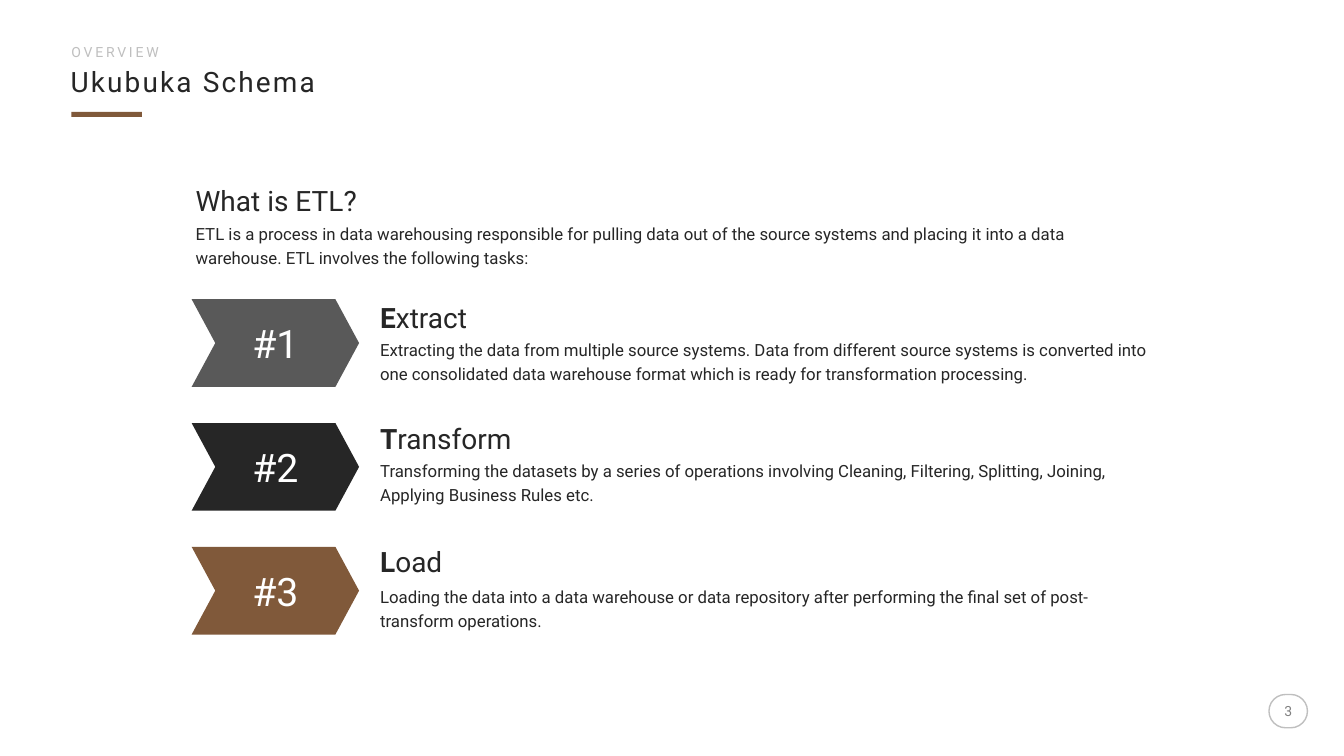
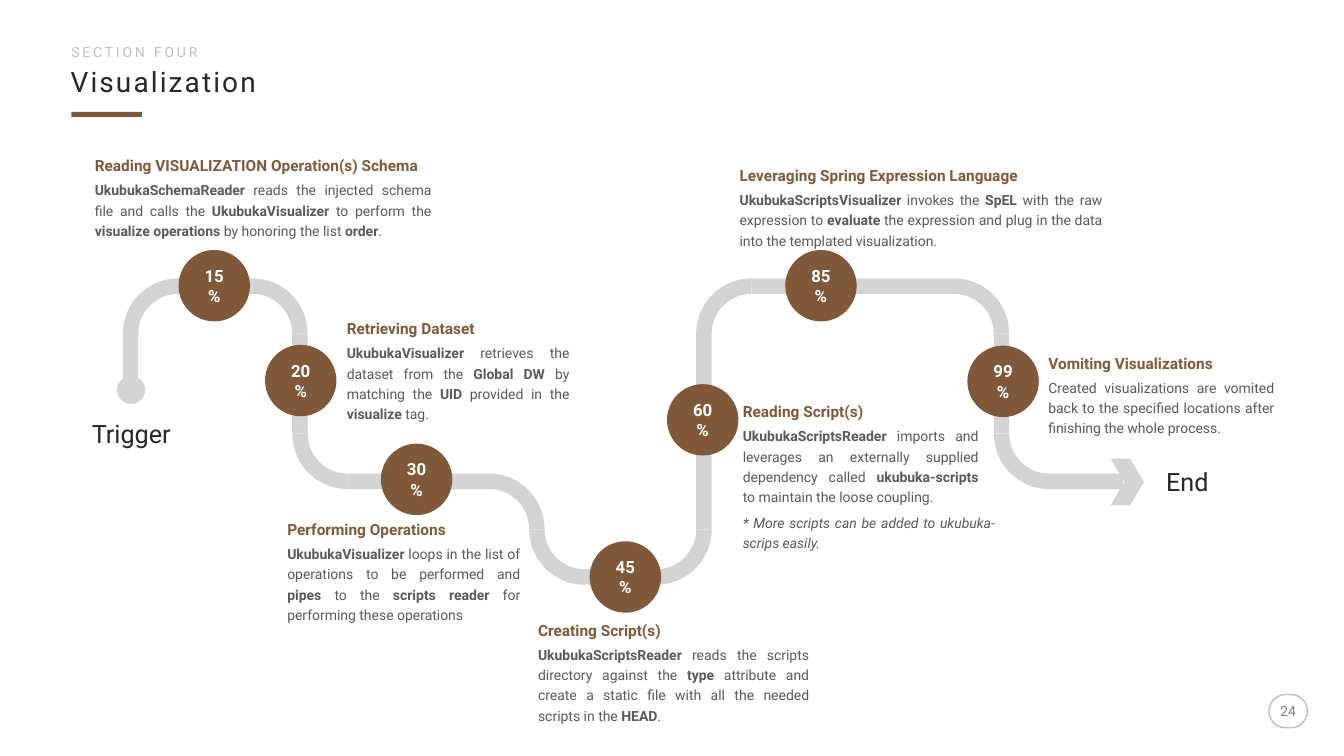
from math import dist
from pptx import Presentation
from pptx.dml.color import RGBColor as Rgb
from pptx.enum.shapes import MSO_SHAPE as Kind
from pptx.enum.text import MSO_ANCHOR as Anchor, PP_ALIGN as Align
from pptx.util import Cm, Pt

LEFT = {"alignment": Align.LEFT}
MID = {"alignment": Align.CENTER}
TIGHT = {"alignment": Align.LEFT, "line_spacing": 0.9, "space_before": Pt(10)}
HEAD = {"alignment": Align.LEFT, "line_spacing": 0.9, "space_before": Pt(7.5)}
OPEN = {"alignment": Align.LEFT, "line_spacing": 1.2}
FULL = {"alignment": Align.JUSTIFY, "line_spacing": 1.2, "space_before": Pt(7.5)}

THEME = {
    "font": "Roboto",
    "brown": "80593A",
    "dark": "262626",
    "grey": "595959",
    "road": "D4D4D4",
    "pale": "BFBFBF",
    "title": {"size": 20, "ink": "262626", "para": TIGHT, "gap": 150},
    "label": {"size": 10, "ink": "BFBFBF", "para": TIGHT, "gap": 200},
    "page": {"size": 10, "ink": "808080", "para": MID},
    "topic": {"size": 20, "ink": "262626", "para": LEFT},
    "body": {"size": 12, "ink": "262626", "para": OPEN},
    "step": {"size": 28, "ink": "FFFFFF", "para": MID},
    "head": {"size": 11, "ink": "80593A", "para": HEAD, "bold": True},
    "note": {"size": 10, "ink": "595959", "para": FULL},
    "aside": {"size": 10, "ink": "595959", "para": FULL, "italic": True},
    "dot": {"size": 12, "ink": "FFFFFF", "para": MID, "bold": True},
    "stop": {"size": 18, "ink": "262626", "para": MID},
}


def draw(slide, kind, box, fill=None, adj=(), turn=0):
    shape = slide.shapes.add_shape(kind, *map(Cm, box))
    shape.shadow.inherit = False
    shape.line.fill.background()
    if fill:
        shape.fill.solid()
        shape.fill.fore_color.rgb = Rgb.from_string(fill)
    else:
        shape.fill.background()
    for i, val in enumerate(adj):
        shape.adjustments[i] = val
    shape.rotation = turn
    return shape


def say(slide, box, text, style, shape=None, flush=True):
    look = THEME[style]
    frame = (shape or slide.shapes.add_textbox(*map(Cm, box))).text_frame
    frame.word_wrap = True
    frame.vertical_anchor = Anchor.MIDDLE if shape else Anchor.TOP
    if flush:
        for side in ("left", "right", "top", "bottom"):
            setattr(frame, f"margin_{side}", 0)
    para = frame.paragraphs[0]
    for key, val in look["para"].items():
        setattr(para, key, val)
    for i, part in enumerate(text.split("|")):
        if not part:
            continue
        run = para.add_run()
        run.text = part
        form = {
            "name": THEME["font"],
            "size": Pt(look["size"]),
            "bold": look.get("bold", i % 2 == 1),
            "italic": look.get("italic", False),
        }
        for key, val in form.items():
            setattr(run.font, key, val)
        run.font.color.rgb = Rgb.from_string(look["ink"])
        if "gap" in look:
            run._r.get_or_add_rPr().set("spc", str(look["gap"]))


deck = Presentation()
deck.slide_width, deck.slide_height = Cm(33.87), Cm(19.05)

pages = []
for label, title, num in [
    ("OVERVIEW", "Ukubuka Schema", "3"),
    ("SECTION FOUR", "Visualization", "24"),
]:
    page = deck.slides.add_slide(deck.slide_layouts[6])
    say(page, (1.8, 1.14, 30.3, 0.43), label, "label")
    say(page, (1.78, 1.73, 30.3, 0.84), title, "title")
    draw(page, Kind.RECTANGLE, (1.8, 2.82, 1.78, 0.13), THEME["brown"])
    badge = draw(page, Kind.ROUNDED_RECTANGLE, (31.98, 17.5, 0.97, 0.84), adj=[0.5])
    badge.line.color.rgb = Rgb.from_string(THEME["pale"])
    badge.line.width = Pt(1)
    say(page, None, num, "page", badge)
    pages.append(page)
schema, visual = pages

say(schema, (4.93, 4.62, 22.6, 0.86), "What is ETL?", "topic")
say(schema, (4.93, 5.54, 24.18, 1.2),
    "ETL is a process in data warehousing responsible for pulling data out of the "
    "source systems and placing it into a data warehouse. ETL involves the "
    "following tasks:", "body")

steps = [
    ("grey", 7.57, 8.46, "|E|xtract",
     "Extracting the data from multiple source systems. Data from different source "
     "systems is converted into one consolidated data warehouse format which is "
     "ready for transformation processing."),
    ("dark", 10.62, 11.51, "|T|ransform",
     "Transforming the datasets by a series of operations involving Cleaning, "
     "Filtering, Splitting, Joining, Applying Business Rules etc."),
    ("brown", 13.72, 14.68, "|L|oad",
     "Loading the data into a data warehouse or data repository after performing "
     "the final set of post-transform operations."),
]
for i, (tone, top, low, head, body) in enumerate(steps):
    arrow = draw(schema, Kind.CHEVRON, (4.83, 7.54 + 3.12 * i, 4.22, 2.21),
                 THEME[tone], [0.27])
    say(schema, None, f"#{i + 1}", "step", arrow, False)
    say(schema, (9.58, top, 15, 0.86), head, "topic")
    say(schema, (9.58, low, 19.51, 1.25), body, "body")

WIDE, BEND = 0.39, 1.2
SPAN = 2 * BEND + WIDE
TURNS = {(1, -1): 0, (1, 1): 90, (-1, 1): 180, (-1, -1): 270}
route = [
    (3.29, 9.68), (3.29, 7.21), (7.56, 7.21), (7.56, 12.13), (13.53, 12.13),
    (13.53, 14.54), (17.74, 14.54), (17.74, 7.21), (25.24, 7.21),
    (25.24, 12.13), (28.3, 12.13),
]
last = len(route) - 2
ways = []
for i, (a, b) in enumerate(zip(route, route[1:])):
    far = dist(a, b)
    way = [(q - p) / far for p, q in zip(a, b)]
    ways.append(way)
    head = [p + w * BEND * (i > 0) for p, w in zip(a, way)]
    tail = [q - w * BEND * (i < last) for q, w in zip(b, way)]
    pad = [WIDE / 2 * (w == 0) for w in way]
    spot = [min(p, q) - d for p, q, d in zip(head, tail, pad)]
    size = [abs(q - p) + 2 * d for p, q, d in zip(head, tail, pad)]
    draw(visual, Kind.RECTANGLE, spot + size, THEME["road"])

for bend, way, next_way in zip(route[1:], ways, ways[1:]):
    side = [w - n for w, n in zip(way, next_way)]
    spot = [c - s * BEND - SPAN / 2 for c, s in zip(bend, side)]
    draw(visual, Kind.BLOCK_ARC, spot + [SPAN, SPAN], THEME["road"],
         [162, 215.99, WIDE / SPAN], TURNS[tuple(round(s) for s in side)])

draw(visual, Kind.OVAL, (2.95, 9.47, 0.71, 0.71), THEME["road"])
draw(visual, Kind.CHEVRON, (27.99, 11.56, 0.84, 1.17), THEME["road"], [0.41])
say(visual, (1.52, 10.54, 3.58, 0.8), "Trigger", "stop")
say(visual, (29.1, 11.75, 1.65, 0.8), "End", "stop")

notes = [
    ("15%", 4.5, 6.3, 2.39, 3.99, 8.48, "Reading VISUALIZATION Operation(s) Schema",
     "|UkubukaSchemaReader| reads the injected schema file and calls the "
     "|UkubukaVisualizer| to perform the |visualize operations |by honoring the "
     "list |order|."),
    ("20%", 6.68, 8.69, 8.74, 8.1, 5.61, "Retrieving Dataset",
     "|UkubukaVisualizer| retrieves the dataset from the |Global DW |by matching "
     "the |UID| provided in the |visualize| tag."),
    ("30%", 9.6, 11.18, 7.24, 13.16, 5.87, "Performing Operations",
     "|UkubukaVisualizer| loops in the list of operations to be performed and "
     "|pipes| to the |scripts reader |for performing these operations"),
    ("45%", 14.86, 13.64, 13.56, 15.7, 6.83, "Creating Script(s)",
     "|UkubukaScriptsReader| reads the scripts directory against the |type| "
     "attribute and create a static file with all the needed scripts in the |HEAD|."),
    ("60%", 16.81, 9.68, 18.72, 10.19, 5.94, "Reading Script(s)",
     "|UkubukaScriptsReader| imports and leverages an externally supplied "
     "dependency called |ukubuka-scripts| to maintain the loose coupling."),
    ("85%", 19.79, 6.3, 18.64, 4.24, 9.14, "Leveraging Spring Expression Language",
     "|UkubukaScriptsVisualizer| invokes the |SpEL| with the raw expression to "
     "|evaluate| the expression and plug in the data into the templated "
     "visualization."),
    ("99%", 24.38, 8.71, 26.42, 8.97, 5.69, "Vomiting Visualizations",
     "Created visualizations are vomited back to the specified locations after "
     "finishing the whole process."),
]
for rate, x, y, left, top, wide, head, body in notes:
    say(visual, (left, top, wide, 0.5), head, "head")
    say(visual, (left, top + 0.51, wide, 1.5), body, "note")
    dot = draw(visual, Kind.OVAL, (x, y, 1.8, 1.8), THEME["brown"])
    say(visual, None, rate, "dot", dot, False)
say(visual, (18.72, 12.88, 6.35, 1.1),
    "* More scripts can be added to ukubuka-scrips easily.", "aside")

deck.save("out.pptx")
